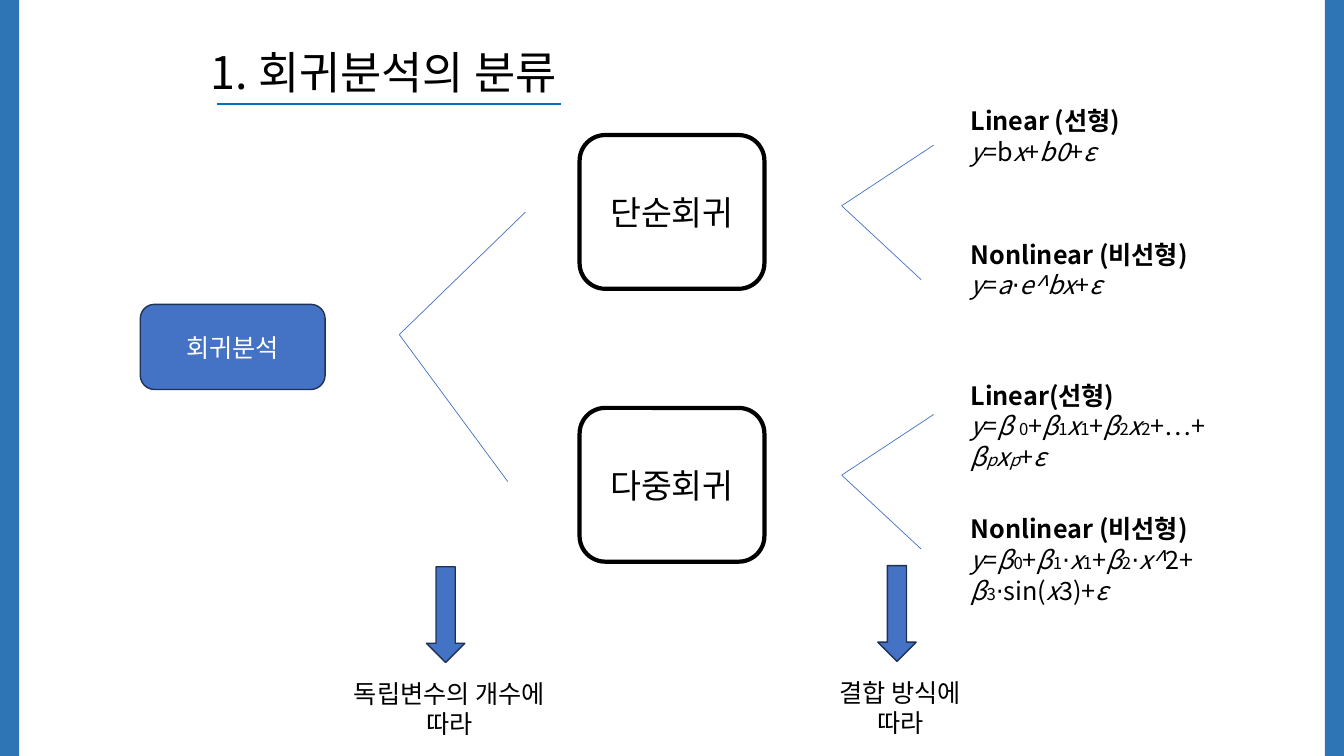
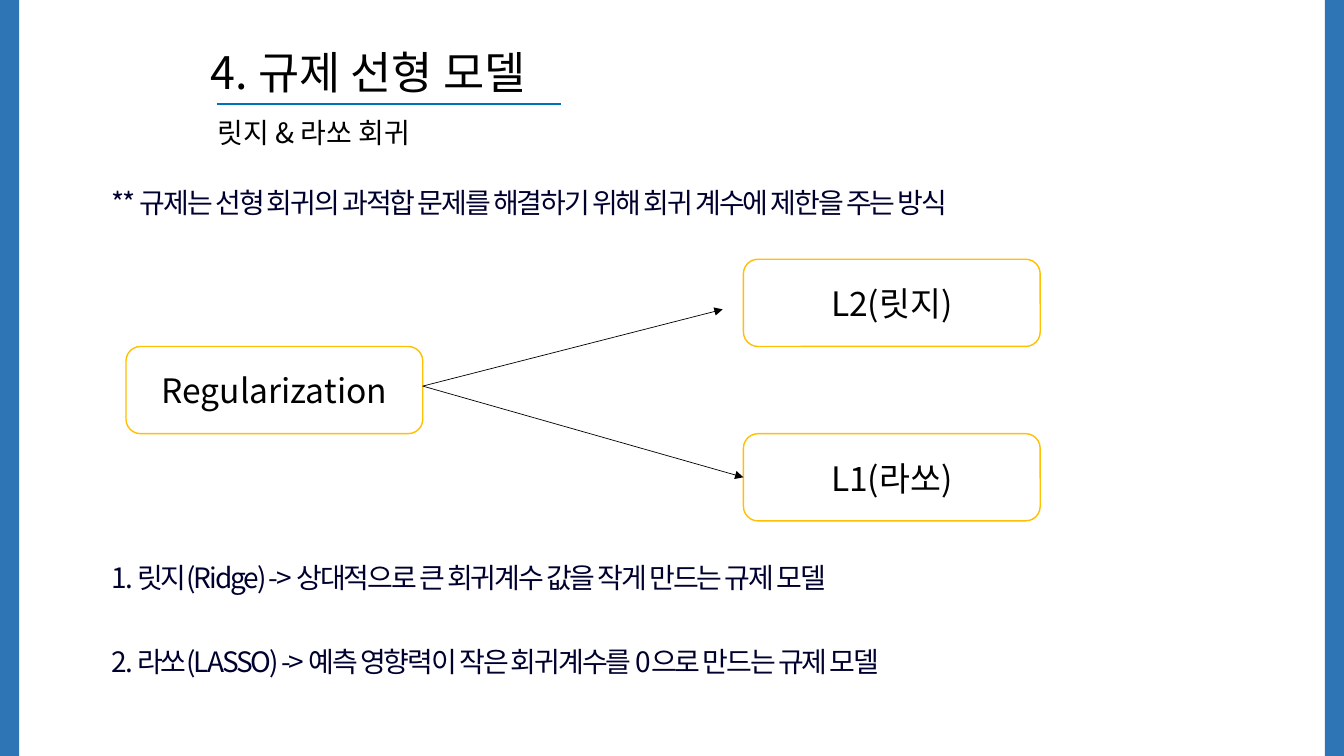
from lxml import etree
from pptx import Presentation
from pptx.dml import color
from pptx.enum import shapes, text
from pptx.oxml import ns
from pptx.util import Pt

BLACK, WHITE, NAVY = "000000", "FFFFFF", "00002F"
BLUE, BLUE_EDGE, BAND, RULE, GOLD = "4472C4", "1E3256", "2E75B6", "0070C0", "FFC000"
CENTER, LEFT = text.PP_ALIGN.CENTER, text.PP_ALIGN.LEFT
SHAPE = shapes.MSO_SHAPE


def rgb(hex_color):
    return color.RGBColor.from_string(hex_color)


class Deck:
    FONT = "Noto Sans CJK KR"
    WIDTH, HEIGHT, BAND_WIDTH = 960, 540, 13.7
    LINE_RATIO = 1.22

    def __init__(self):
        self.prs = Presentation()
        self.prs.slide_width, self.prs.slide_height = Pt(self.WIDTH), Pt(self.HEIGHT)
        self.slide = None

    def new_slide(self, heading):
        """Start a slide with its side bands, title and title rule."""
        self.slide = self.prs.slides.add_slide(self.prs.slide_layouts[5])
        for left in (0, self.WIDTH - self.BAND_WIDTH):
            self.shape(SHAPE.RECTANGLE, (left, 0, self.BAND_WIDTH, self.HEIGHT), BAND)
        title = self.slide.shapes.title
        title.left, title.top, title.width, title.height = map(Pt, (143.3, 28, 316, 46))
        frame = title.text_frame
        frame.auto_size = text.MSO_AUTO_SIZE.NONE
        frame.vertical_anchor = text.MSO_ANCHOR.MIDDLE
        frame.text = heading
        self.format(frame.paragraphs[0], 32)
        self.line((154.8, 74.2), (401, 74.2), RULE, 1.25)

    def format(self, paragraph, size, ink=BLACK, align=LEFT, bold=False, tracking=0):
        """Style a paragraph; tracking is in points."""
        paragraph.alignment = align
        paragraph.line_spacing = Pt(round(size * self.LINE_RATIO, 1))
        font = paragraph.font
        font.name, font.size, font.bold = self.FONT, Pt(size), bold
        font.color.rgb = rgb(ink)
        props = paragraph._p.get_or_add_pPr().get_or_add_defRPr()
        etree.SubElement(props, ns.qn("a:ea"), typeface=self.FONT)
        if tracking:
            props.set("spc", str(int(tracking * 100)))

    def shape(self, preset, box, fill, edge=None, edge_width=1.0):
        item = self.slide.shapes.add_shape(preset, *map(Pt, box))
        item.shadow.inherit = False
        item.fill.solid()
        item.fill.fore_color.rgb = rgb(fill)
        if edge:
            item.line.color.rgb = rgb(edge)
            item.line.width = Pt(edge_width)
        else:
            item.line.fill.background()
        return item

    def node(self, label, box, fill, edge, size=24, ink=BLACK, edge_width=1.0):
        """Rounded box with a centred label."""
        item = self.shape(SHAPE.ROUNDED_RECTANGLE, box, fill, edge, edge_width)
        item.text_frame.vertical_anchor = text.MSO_ANCHOR.MIDDLE
        item.text_frame.text = label
        self.format(item.text_frame.paragraphs[0], size, ink, CENTER)
        return item

    def text(self, words, box, size, inset=True, **style):
        frame = self.slide.shapes.add_textbox(*map(Pt, box)).text_frame
        frame.word_wrap = True
        if not inset:
            frame.margin_left = frame.margin_top = frame.margin_right = frame.margin_bottom = 0
        frame.text = words
        for paragraph in frame.paragraphs:
            self.format(paragraph, size, **style)
        return frame

    def formula(self, heading, rows, box):
        """Bold heading over formula rows: *italic*, ~subscript~."""
        frame = self.text(heading, box, 18, bold=True)
        for row in rows:
            paragraph = frame.add_paragraph()
            self.format(paragraph, 18)
            for i, part in enumerate(row.split("*")):
                for j, piece in enumerate(part.split("~")):
                    if not piece:
                        continue
                    run = paragraph.add_run()
                    run.text = piece
                    if i % 2:
                        run.font.italic = True
                    if j % 2:
                        run.font.size = Pt(12)

    def line(self, start, end, ink, width=0.5, arrow=False):
        connector = self.slide.shapes.add_connector(
            shapes.MSO_CONNECTOR.STRAIGHT, *map(Pt, start + end))
        connector.line.color.rgb = rgb(ink)
        connector.line.width = Pt(width)
        if arrow:
            etree.SubElement(connector.line._get_or_add_ln(), ns.qn("a:tailEnd"), type="triangle")
        etree.SubElement(connector._element.spPr, ns.qn("a:effectLst"))
        return connector

    def fork(self, origin, ends):
        for end in ends:
            self.line(origin, end, BLUE)


def classification(deck):
    deck.new_slide("1. 회귀분석의 분류")
    deck.node("회귀분석", (100.2, 217.4, 132, 60.8), BLUE, BLUE_EDGE, 18, WHITE)
    deck.fork((285.2, 239), ((375.2, 151.6), (362.7, 344)))

    for kind, top in (("단순회귀", 96.5), ("다중회귀", 291.4)):
        deck.node(kind, (414, top, 132, 109.8), WHITE, BLACK, edge_width=3)
    for fork_y in (147, 339.4):
        deck.fork((601.2, fork_y), ((666.9, fork_y - 43.3), (658, fork_y + 52.8)))

    models = (
        ("Linear (선형)", ["*y*=b*x*+*b0*+*ε*"], 71.3, 204),
        ("Nonlinear (비선형)", ["*y*=*a*⋅*e^bx*+*ε*"], 166.7, 204),
        ("Linear(선형)", ["*y*=*β *~0~+*β*~1~*x*~1~+*β*~2~*x*~2~+…+",
                        "*β~p~x~p~*+*ε*"], 267.4, 225),
        ("Nonlinear (비선형)", ["*y*=*β*~0~+*β*~1~⋅*x*~1~+*β*~2~⋅*x^*2+",
                             "*β*~3~⋅sin(*x*3)+*ε*"], 362.7, 204),
    )
    for heading, rows, top, width in models:
        deck.formula(heading, rows, (686.2, top, width, 29.2 + 22 * len(rows)))

    criteria = (("독립변수의 개수에 따라", 304.6, 234, 404.8),
                ("결합 방식에\n따라", 627, 556, 404))
    for criterion, arrow_left, text_left, top in criteria:
        deck.shape(SHAPE.DOWN_ARROW, (arrow_left, top, 27.4, 68.4), BLUE, BLUE_EDGE)
        deck.text(criterion, (text_left, top + 75.5, 174.2, 51), 18, align=CENTER)


def regularized_models(deck):
    deck.new_slide("4. 규제 선형 모델")
    deck.text("릿지 & 라쏘 회귀", (155.5, 82, 520, 25), 20, inset=False)

    statements = (
        ("** 규제는 선형 회귀의 과적합 문제를 해결하기 위해 회귀 계수에 제한을 주는 방식", 128.9),
        ("1. 릿지(Ridge) -> 상대적으로 큰 회귀계수 값을 작게 만드는 규제 모델", 396.7),
        ("2. 라쏘(LASSO) -> 예측 영향력이 작은 회귀계수를 0으로 만드는 규제 모델", 456.5),
    )
    for statement, top in statements:
        deck.text(statement, (72.7, top, 820, 31.7), 20, ink=NAVY, tracking=-1.5)

    width, height = 212, 62.3
    deck.node("Regularization", (90, 247.5, width, height), WHITE, GOLD)
    deck.node("L2(릿지)", (531, 185.2, width, height), WHITE, GOLD)
    lasso = deck.node("L1(라쏘)", (531, 309.8, width, height), WHITE, GOLD)

    source = (302, 275.8)
    deck.line(source, (516.2, 221), BLACK, arrow=True)
    deck.line(source, (531, 341), BLACK, arrow=True).end_connect(lasso, 1)


def main():
    deck = Deck()
    classification(deck)
    regularized_models(deck)
    deck.prs.save("out.pptx")


if __name__ == "__main__":
    main()
